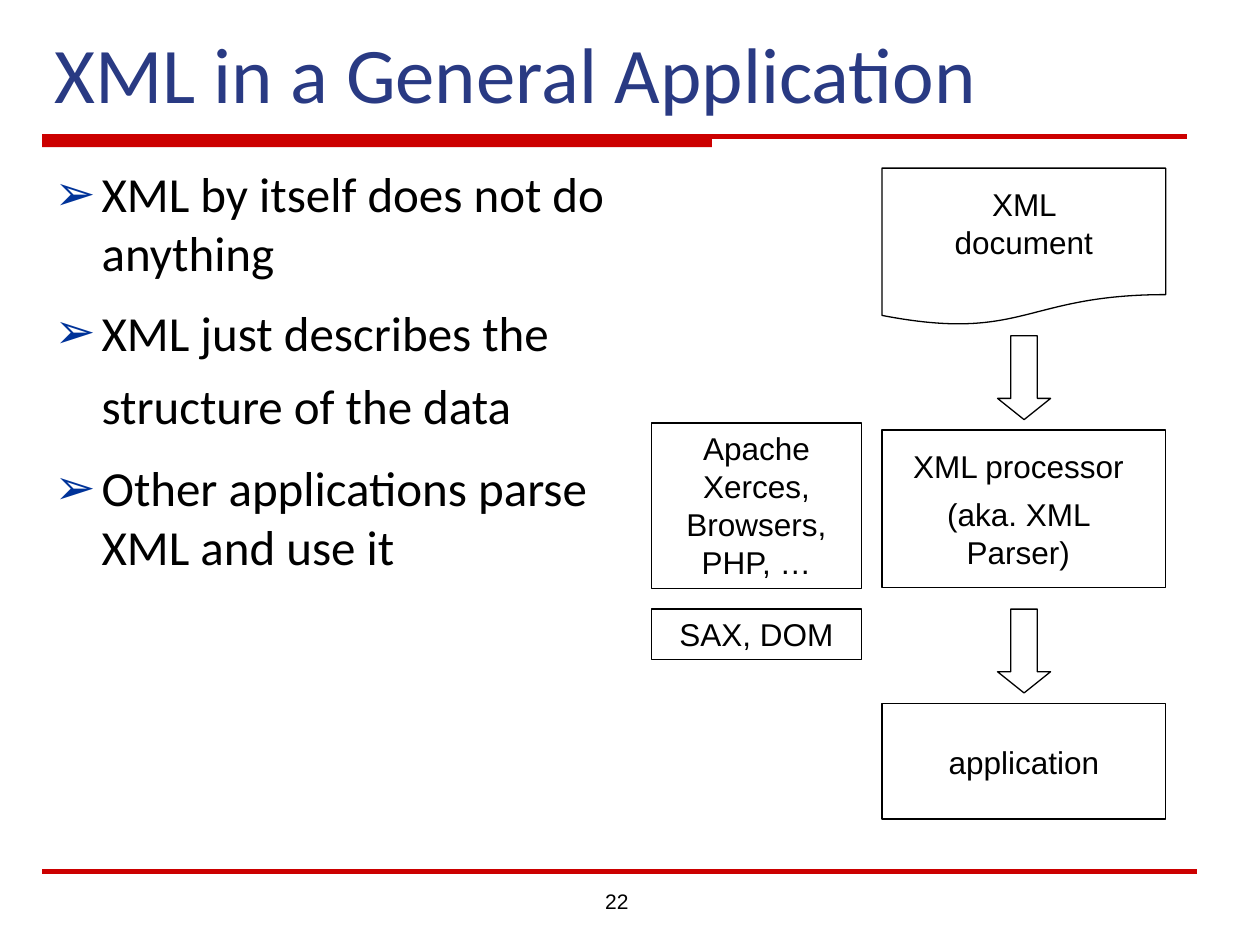
from typing import NamedTuple

from lxml.etree import SubElement
from pptx import Presentation
from pptx.dml.color import RGBColor
from pptx.enum.shapes import MSO_CONNECTOR, MSO_SHAPE
from pptx.enum.text import MSO_ANCHOR, PP_ALIGN
from pptx.oxml.ns import qn
from pptx.util import Cm, Pt

COLORS = {"rule": "CC0000", "title": "293A83", "bullet": "003399", "ink": "000000"}


class Box(NamedTuple):
    left: float
    top: float
    width: float
    height: float


class Outline(NamedTuple):
    kind: MSO_SHAPE
    box: Box
    text: str = ""


class Label(NamedTuple):
    box: Box
    lines: list[str]


# Flow column, its arrows and the tool notes beside it
FLOW_LEFT, FLOW_WIDTH = 17.78, 5.72
ARROW_LEFT, ARROW_WIDTH, ARROW_HEIGHT = 20.11, 1.07, 1.69
NOTE_LEFT, NOTE_WIDTH = 13.13, 4.24

OUTLINES = [
    Outline(MSO_SHAPE.FLOWCHART_DOCUMENT, Box(FLOW_LEFT, 3.39, FLOW_WIDTH, 3.18)),
    Outline(MSO_SHAPE.FLOWCHART_PROCESS, Box(FLOW_LEFT, 8.67, FLOW_WIDTH, 3.18)),
    Outline(MSO_SHAPE.FLOWCHART_PROCESS, Box(FLOW_LEFT, 14.18, FLOW_WIDTH, 2.33)),
    Outline(MSO_SHAPE.DOWN_ARROW, Box(ARROW_LEFT, 6.77, ARROW_WIDTH, ARROW_HEIGHT)),
    Outline(MSO_SHAPE.DOWN_ARROW, Box(ARROW_LEFT, 12.28, ARROW_WIDTH, ARROW_HEIGHT)),
    Outline(MSO_SHAPE.RECTANGLE, Box(NOTE_LEFT, 12.28, NOTE_WIDTH, 1.02), "SAX, DOM"),
    Outline(MSO_SHAPE.RECTANGLE, Box(NOTE_LEFT, 8.53, NOTE_WIDTH, 3.33),
            "Apache Xerces,\nBrowsers,\nPHP, …"),
]

LABELS = [
    Label(Box(18.63, 3.6, 4.02, 1.78), ["XML document"]),
    Label(Box(FLOW_LEFT, 8.89, 5.5, 2.75), ["XML processor", "(aka. XML Parser)"]),
    Label(Box(18.1, 14.86, 5.08, 1.02), ["application"]),
]

BULLETS = [
    "XML by itself does not do anything",
    "XML just describes the structure of the data",
    "Other applications parse XML and use it",
]


def color(name: str) -> RGBColor:
    return RGBColor.from_string(COLORS[name])


def lengths(box: Box) -> list[Cm]:
    return [Cm(value) for value in box]


def style(paragraph, size: float, font: str = "Arial", ink: str = "ink",
          align: PP_ALIGN = PP_ALIGN.LEFT, before: float = 0) -> None:
    paragraph.font.size = Pt(size)
    paragraph.font.name = font
    paragraph.font.color.rgb = color(ink)
    paragraph.alignment = align
    paragraph.space_before = Pt(before)


def write(frame, lines: list[str], **look) -> None:
    frame.word_wrap = True
    for index, line in enumerate(lines):
        paragraph = frame.paragraphs[0] if index == 0 else frame.add_paragraph()
        paragraph.text = line
        style(paragraph, **look)


def add_text(slide, box: Box, lines: list[str], **look):
    frame = slide.shapes.add_textbox(*lengths(box)).text_frame
    write(frame, lines, **look)
    return frame


def add_bullet(paragraph) -> None:
    properties = paragraph._p.get_or_add_pPr()
    properties.set("marL", str(Cm(0.95)))
    properties.set("indent", str(-Cm(0.95)))
    bullet_color = SubElement(properties, qn("a:buClr"))
    SubElement(bullet_color, qn("a:srgbClr"), val=COLORS["bullet"])
    SubElement(properties, qn("a:buFont"), typeface="Arial")
    SubElement(properties, qn("a:buChar"), char="➢")


def add_rule(slide, left: float, right: float, y: float) -> None:
    rule = slide.shapes.add_connector(
        MSO_CONNECTOR.STRAIGHT, Cm(left), Cm(y), Cm(right), Cm(y))
    rule.line.color.rgb = color("rule")
    rule.line.width = Pt(3)
    SubElement(rule._element.spPr, qn("a:effectLst"))


def add_outline(slide, outline: Outline) -> None:
    shape = slide.shapes.add_shape(outline.kind, *lengths(outline.box))
    shape.shadow.inherit = False
    shape.fill.background()
    shape.line.color.rgb = color("ink")
    shape.line.width = Pt(0.75)
    if outline.kind == MSO_SHAPE.DOWN_ARROW:
        shape.adjustments[0], shape.adjustments[1] = 0.5, 0.4
    if outline.text:
        shape.text_frame.vertical_anchor = MSO_ANCHOR.TOP
        write(shape.text_frame, [outline.text], size=18,
              align=PP_ALIGN.CENTER, before=6)


def main() -> None:
    presentation = Presentation()
    presentation.slide_width, presentation.slide_height = Cm(25.4), Cm(19.05)
    slide = presentation.slides.add_slide(presentation.slide_layouts[6])

    # Red rules
    bar = slide.shapes.add_shape(MSO_SHAPE.RECTANGLE, *lengths(Box(0.85, 2.75, 13.5, 0.22)))
    bar.shadow.inherit = False
    bar.fill.solid()
    bar.fill.fore_color.rgb = color("rule")
    bar.line.fill.background()
    add_rule(slide, 0.85, 23.93, 2.75)
    add_rule(slide, 0.85, 24.13, 17.57)

    # Title
    title = add_text(slide, Box(0.85, 0.42, 23.5, 2.12), ["XML in a General Application"],
                     size=45, font="Calibri", ink="title")
    title.vertical_anchor = MSO_ANCHOR.BOTTOM

    # Bullets; the larger closing space opens up the second one's last line
    body = add_text(slide, Box(0.85, 3.18, 12.28, 14.4), BULLETS,
                    size=28, font="Calibri", before=12)
    for paragraph in body.paragraphs:
        add_bullet(paragraph)
    spacer = body.paragraphs[1].add_run()
    spacer.text = " "
    spacer.font.size = Pt(36)

    # Slide number
    add_text(slide, Box(11.22, 17.78, 1.7, 0.69), ["22"], size=12, align=PP_ALIGN.RIGHT)

    # Processing flow
    for outline in OUTLINES:
        add_outline(slide, outline)
    for label in LABELS:
        add_text(slide, label.box, label.lines, size=18, align=PP_ALIGN.CENTER, before=6)

    presentation.save("out.pptx")


if __name__ == "__main__":
    main()
